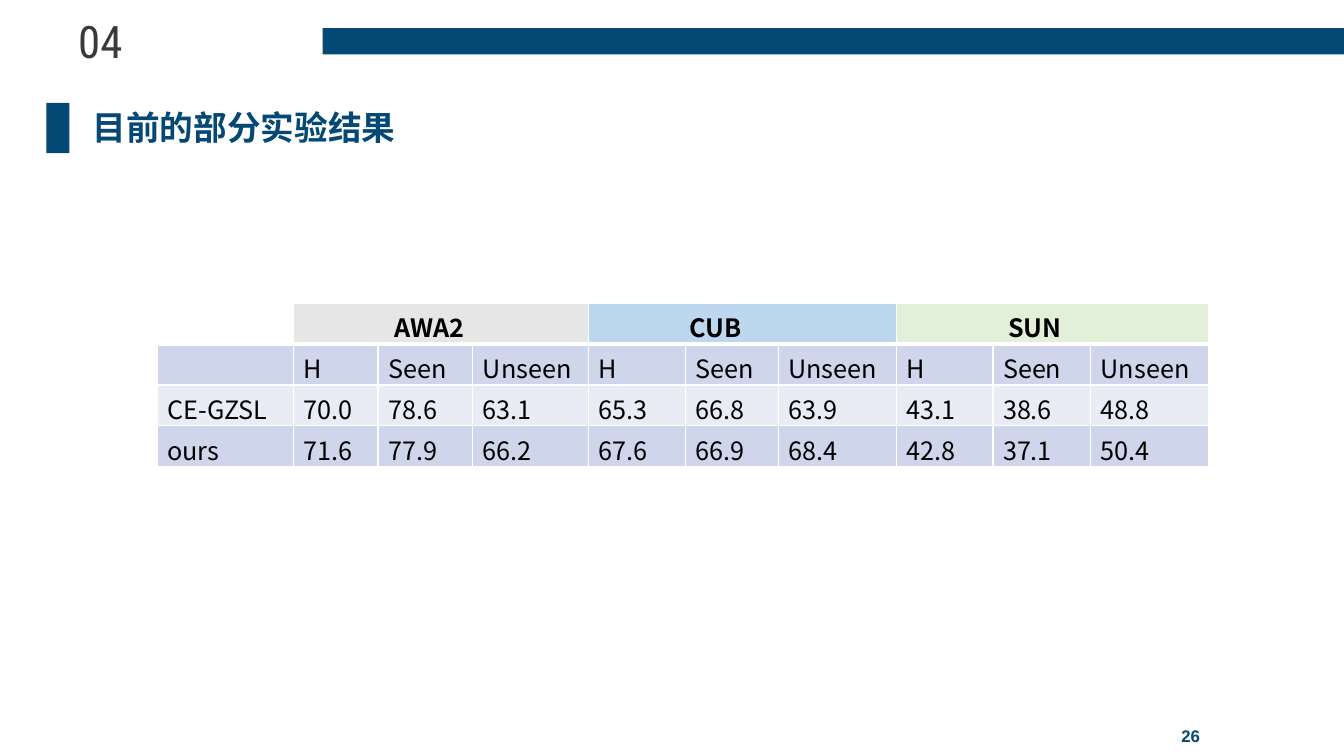
from lxml import etree
from pptx import Presentation
from pptx.dml.color import RGBColor
from pptx.enum.shapes import MSO_SHAPE as Shape
from pptx.enum.text import MSO_ANCHOR as Anchor, PP_ALIGN as Align
from pptx.oxml.ns import qn
from pptx.util import Inches, Pt

NAVY, BLACK, WHITE, CHARCOAL = "044875", "000000", "FFFFFF", "3B3838"
BAND_DARK, BAND_LIGHT = "CFD5EA", "E9EBF5"
SANS = "Noto Sans CJK SC"

COLUMN_WIDTHS = [1.35, 0.84, 0.94, 1.15, 0.96, 0.92, 1.17, 0.96, 0.97, 1.17]
ROW_HEIGHT = 0.405
# Data set, header fill, left margin of its name
DATASETS = [("AWA2", "E7E6E6", 1), ("CUB", "BDD7EE", 1), ("SUN", "E2F0D9", 1.11)]
METRICS = ["H", "Seen", "Unseen"]
BODY_ROWS = [
    [""] + METRICS * len(DATASETS),
    ["CE-GZSL", "70.0", "78.6", "63.1", "65.3", "66.8", "63.9", "43.1", "38.6", "48.8"],
    ["ours", "71.6", "77.9", "66.2", "67.6", "66.9", "68.4", "42.8", "37.1", "50.4"],
]


def color(value):
    return RGBColor.from_string(value)


class SlideBuilder:
    def __init__(self, slide):
        self.slide = slide

    def add_run(self, paragraph, text, size, ink, font=SANS, bold=False):
        run = paragraph.add_run()
        run.text = text
        run.font.size = Pt(size)
        run.font.bold = bold
        run.font.name = font
        run.font.color.rgb = color(ink)
        east_asian = etree.Element(qn("a:ea"), typeface=font)
        run.font._element.find(qn("a:latin")).addnext(east_asian)

    def title(self, text, left, top, width, height):
        shape = self.slide.shapes.title
        shape.left, shape.top = Inches(left), Inches(top)
        shape.width, shape.height = Inches(width), Inches(height)
        shape.text_frame.vertical_anchor = Anchor.TOP
        paragraph = shape.text_frame.paragraphs[0]
        paragraph.alignment = Align.LEFT
        paragraph.line_spacing = Pt(24)
        self.add_run(paragraph, text, 24, NAVY, bold=True)

    def label(self, text, left, top, width, height, size, ink, font,
              bold=False, anchor=Anchor.TOP):
        box = self.slide.shapes.add_textbox(
            Inches(left), Inches(top), Inches(width), Inches(height))
        frame = box.text_frame
        frame.word_wrap = True
        frame.vertical_anchor = anchor
        frame.paragraphs[0].alignment = Align.CENTER
        self.add_run(frame.paragraphs[0], text, size, ink, font, bold)

    def bar(self, left, top, width, height):
        shape = self.slide.shapes.add_shape(
            Shape.RECTANGLE, Inches(left), Inches(top), Inches(width), Inches(height))
        shape.shadow.inherit = False
        shape.fill.solid()
        shape.fill.fore_color.rgb = color(NAVY)
        shape.line.fill.background()

    def cell(self, cell, text, fill, bold=False, margin=0.1, bottom_line=1):
        cell.fill.solid()
        cell.fill.fore_color.rgb = color(fill)
        cell.margin_left = Inches(margin)
        cell.margin_top, cell.margin_bottom = Inches(0.05), Inches(0)
        if text:
            self.add_run(cell.text_frame.paragraphs[0], text, 18, BLACK, bold=bold)
        properties = cell._tc.get_or_add_tcPr()
        for index, side in enumerate("LRTB"):
            width = Pt(bottom_line if side == "B" else 1)
            line = etree.Element(qn(f"a:ln{side}"), w=str(width))
            solid = etree.SubElement(line, qn("a:solidFill"))
            etree.SubElement(solid, qn("a:srgbClr"), val=WHITE)
            properties.insert(index, line)

    def results_table(self, left, top):
        row_count = len(BODY_ROWS) + 1
        table = self.slide.shapes.add_table(
            row_count, len(COLUMN_WIDTHS), Inches(left), Inches(top),
            Inches(sum(COLUMN_WIDTHS)), Inches(ROW_HEIGHT * row_count)).table
        table.first_row = table.horz_banding = False
        for column, width in zip(table.columns, COLUMN_WIDTHS):
            column.width = Inches(width)
        for row in table.rows:
            row.height = Inches(ROW_HEIGHT)

        # Header: one merged cell per data set
        self.cell(table.cell(0, 0), "", WHITE, bottom_line=3)
        span = len(METRICS)
        for index, (name, fill, margin) in enumerate(DATASETS):
            first = 1 + index * span
            table.cell(0, first).merge(table.cell(0, first + span - 1))
            self.cell(table.cell(0, first), name, fill, True, margin, 3)
            for column in range(first + 1, first + span):
                self.cell(table.cell(0, column), "", fill, bottom_line=3)

        # Metric names and scores in alternating bands
        for row, values in enumerate(BODY_ROWS, start=1):
            fill = BAND_DARK if row % 2 else BAND_LIGHT
            for column, value in enumerate(values):
                self.cell(table.cell(row, column), value, fill)


def main():
    presentation = Presentation()
    presentation.slide_width, presentation.slide_height = Inches(13.33), Inches(7.5)
    slide = presentation.slides.add_slide(presentation.slide_layouts[5])
    builder = SlideBuilder(slide)

    # Section number, top band and page number
    builder.label("04", 0.6, 0.09, 0.79, 0.64, 32, CHARCOAL, "Roboto Condensed")
    builder.bar(3.2, 0.28, 10.13, 0.26)
    builder.label("26", 10.46, 7.1, 2.7, 0.4, 12, NAVY, "Arial", True, Anchor.MIDDLE)

    # Results
    builder.results_table(1.56, 3.01)

    # Heading with its marker
    builder.bar(0.46, 1.02, 0.23, 0.5)
    builder.title("目前的部分实验结果", 0.82, 1.08, 5, 0.44)

    presentation.save("out.pptx")


if __name__ == "__main__":
    main()
